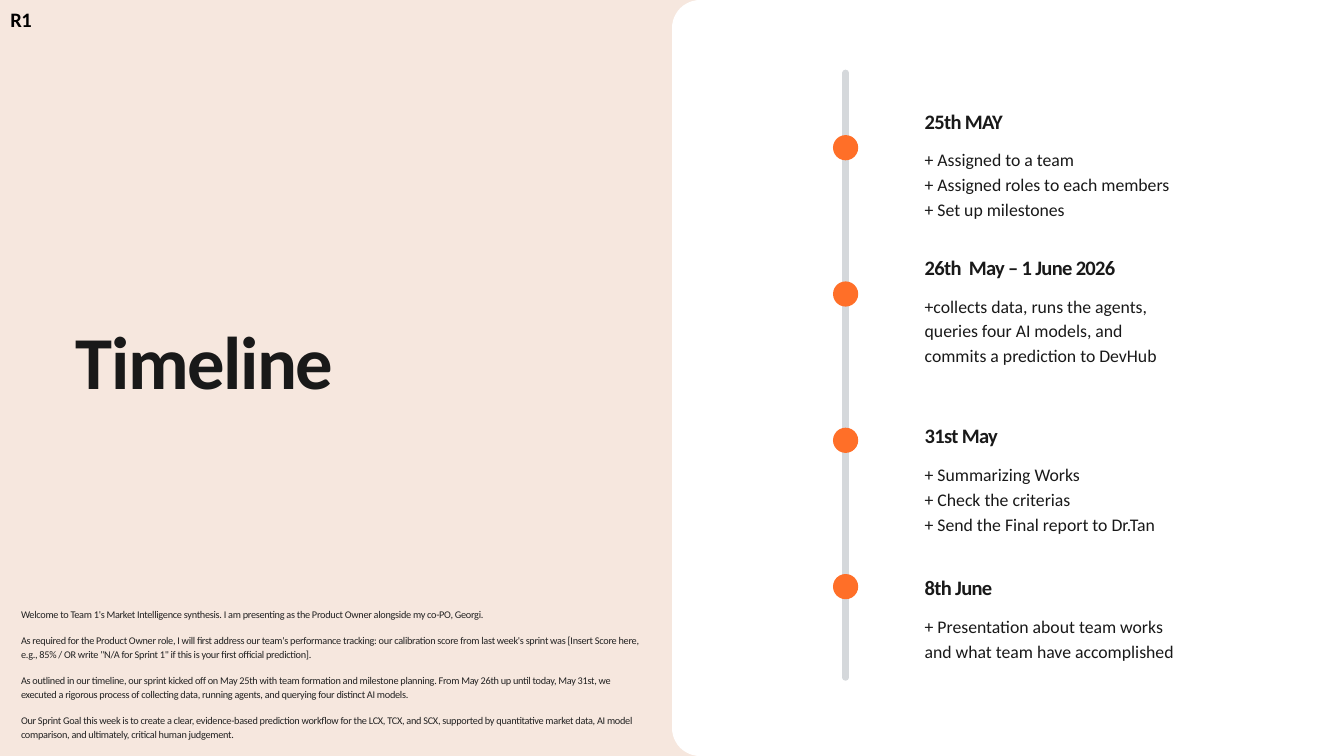
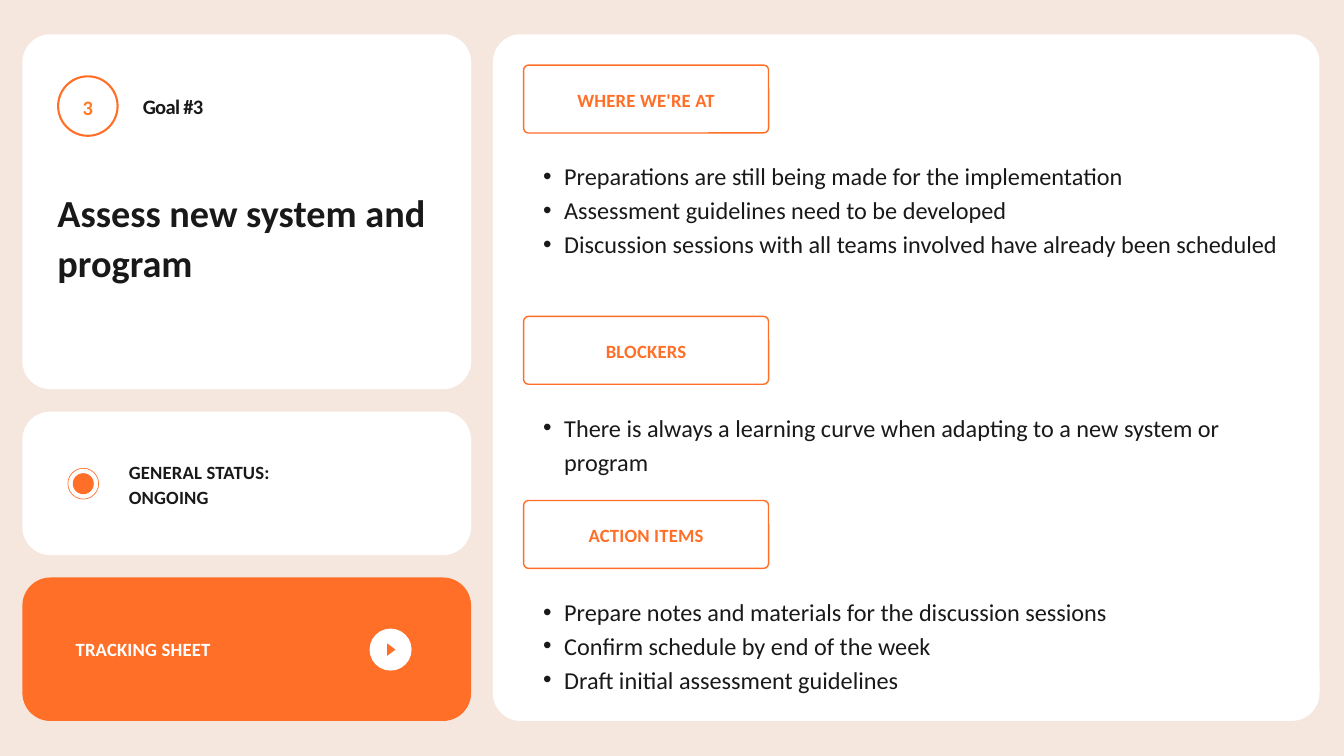
from dataclasses import dataclass, replace
from typing import NamedTuple, Optional, Sequence

import lxml.etree
import pptx
import pptx.dml.color
import pptx.enum.shapes
import pptx.enum.text
import pptx.oxml.ns
import pptx.presentation
import pptx.shapes.autoshape
import pptx.slide
import pptx.text.text
import pptx.util

EMU_PER_PX = 9525
FONT = "Calibri"
CREAM, WHITE, ORANGE = "F6E7DE", "FFFFFF", "FF6F28"
INK, BLACK, GREY = "191919", "000000", "D5D8DB"
LEFT = pptx.enum.text.PP_ALIGN.LEFT
CENTER = pptx.enum.text.PP_ALIGN.CENTER
TOP = pptx.enum.text.MSO_ANCHOR.TOP
MIDDLE = pptx.enum.text.MSO_ANCHOR.MIDDLE
ROUNDED = pptx.enum.shapes.MSO_SHAPE.ROUNDED_RECTANGLE
OVAL = pptx.enum.shapes.MSO_SHAPE.OVAL
TRIANGLE = pptx.enum.shapes.MSO_SHAPE.ISOSCELES_TRIANGLE
COMPARISON_LAYOUT = 4


class Box(NamedTuple):
    left: int
    top: int
    width: int
    height: int


@dataclass(frozen=True)
class TextStyle:
    size: int
    leading: float
    color: str = INK
    bold: bool = False
    tracking: float = 0
    align: pptx.enum.text.PP_ALIGN = LEFT
    bulleted: bool = False
    gap: float = 0


@dataclass(frozen=True)
class Milestone:
    top: int
    date: str
    tasks: Sequence[str]
    height: int = 138


@dataclass(frozen=True)
class Section:
    top: int
    label: str
    points: Sequence[str]
    height: int


COVER_TITLE = TextStyle(80, 96, bold=True, tracking=-1.6)
GOAL_TITLE = TextStyle(41, 53.3, bold=True)
HEADING = TextStyle(22, 28.6, bold=True, tracking=-0.7)
TASK = TextStyle(19, 26.6)
SPEECH = TextStyle(11, 14.3, "222222", tracking=-0.3, gap=14.3)
CAPS = TextStyle(20, 26, bold=True, tracking=0.2)
TAG = replace(CAPS, color=ORANGE, align=CENTER)
POINT = TextStyle(26, 36.4, bulleted=True)

MILESTONES = [
    Milestone(152, "25th MAY", [
        "+ Assigned to a team",
        "+ Assigned roles to each members",
        "+ Set up milestones",
    ]),
    Milestone(361, "26th  May – 1 June 2026", [
        "+collects data, runs the agents, queries four AI models, "
        "and commits a prediction to DevHub",
    ]),
    Milestone(602, "31st May", [
        "+ Summarizing Works",
        "+ Check the criterias",
        "+ Send the Final report to Dr.Tan",
    ]),
    Milestone(819, "8th June", [
        "+ Presentation about team works and what team have accomplished",
    ], 103),
]

WELCOME = [
    "Welcome to Team 1's Market Intelligence synthesis. I am presenting as "
    "the Product Owner alongside my co-PO, Georgi.",
    "As required for the Product Owner role, I will first address our team's "
    "performance tracking: our calibration score from last week's sprint was "
    "[Insert Score here, e.g., 85% / OR write \"N/A for Sprint 1\" if this is "
    "your first official prediction].",
    "As outlined in our timeline, our sprint kicked off on May 25th with team "
    "formation and milestone planning. From May 26th up until today, May 31st, "
    "we executed a rigorous process of collecting data, running agents, and "
    "querying four distinct AI models.",
    "Our Sprint Goal this week is to create a clear, evidence-based prediction "
    "workflow for the LCX, TCX, and SCX, supported by quantitative market data, "
    "AI model comparison, and ultimately, critical human judgement.",
]

SECTIONS = [
    Section(92, "WHERE WE'RE AT", [
        "Preparations are still being made for the implementation",
        "Assessment guidelines need to be developed",
        "Discussion sessions with all teams involved have already been scheduled",
    ], 190),
    Section(451, "BLOCKERS", [
        "There is always a learning curve when adapting to a new system or program",
    ], 94),
    Section(714, "ACTION ITEMS", [
        "Prepare notes and materials for the discussion sessions",
        "Confirm schedule by end of the week",
        "Draft initial assessment guidelines",
    ], 142),
]


def px(length: int) -> pptx.util.Emu:
    return pptx.util.Emu(length * EMU_PER_PX)


def rgb(color: str) -> pptx.dml.color.RGBColor:
    return pptx.dml.color.RGBColor.from_string(color)


def emu(box: Box) -> list[pptx.util.Emu]:
    return [px(length) for length in box]


def set_bullet(paragraph: pptx.text.text._Paragraph, bulleted: bool) -> None:
    properties = paragraph._p.get_or_add_pPr()
    properties.set("marL", str(px(59 if bulleted else 0)))
    properties.set("indent", str(px(-30 if bulleted else 0)))
    qn = pptx.oxml.ns.qn
    if bulleted:
        lxml.etree.SubElement(properties, qn("a:buFont")).set("typeface", "Arial")
        lxml.etree.SubElement(properties, qn("a:buChar")).set("char", "•")
    else:
        lxml.etree.SubElement(properties, qn("a:buNone"))


def write(frame: pptx.text.text.TextFrame, lines: Sequence[str], style: TextStyle,
          anchor: pptx.enum.text.MSO_ANCHOR = TOP) -> None:
    frame.word_wrap = True
    frame.auto_size = pptx.enum.text.MSO_AUTO_SIZE.NONE
    frame.vertical_anchor = anchor
    frame.margin_left = frame.margin_top = frame.margin_right = frame.margin_bottom = 0
    for number, line in enumerate(lines):
        paragraph = frame.add_paragraph() if number else frame.paragraphs[0]
        set_bullet(paragraph, style.bulleted)
        paragraph.alignment = style.align
        paragraph.line_spacing = pptx.util.Pt(style.leading)
        paragraph.space_before = pptx.util.Pt(style.gap if number else 0)
        run = paragraph.add_run()
        run.text = line
        run.font.name = FONT
        run.font.size = pptx.util.Pt(style.size)
        run.font.bold = style.bold
        run.font.color.rgb = rgb(style.color)
        run._r.get_or_add_rPr().set("spc", str(round(style.tracking * 100)))


def add_text(slide: pptx.slide.Slide, box: Box, lines: Sequence[str],
             style: TextStyle) -> None:
    write(slide.shapes.add_textbox(*emu(box)).text_frame, lines, style)


def fill_placeholder(slide: pptx.slide.Slide, index: int, box: Box,
                     lines: Sequence[str], style: TextStyle) -> None:
    holder = slide.placeholders[index]
    holder.left, holder.top, holder.width, holder.height = emu(box)
    slide.shapes.element.append(holder.element)
    write(holder.text_frame, lines, style)


def add_figure(slide: pptx.slide.Slide, kind: pptx.enum.shapes.MSO_SHAPE, box: Box,
               fill: Optional[str] = None, outline: int = 0,
               radius: int = 0) -> pptx.shapes.autoshape.Shape:
    figure = slide.shapes.add_shape(kind, *emu(box))
    figure.shadow.inherit = False
    if fill:
        figure.fill.solid()
        figure.fill.fore_color.rgb = rgb(fill)
    else:
        figure.fill.background()
    if outline:
        figure.line.color.rgb = rgb(ORANGE)
        figure.line.width = px(outline)
    else:
        figure.line.fill.background()
    if radius:
        figure.adjustments[0] = radius / min(box.width, box.height)
    return figure


def add_card(slide: pptx.slide.Slide, box: Box, fill: str = WHITE) -> None:
    add_figure(slide, ROUNDED, box, fill, radius=40)


def add_axis(slide: pptx.slide.Slide, x: int, top: int, bottom: int) -> None:
    axis = slide.shapes.add_connector(
        pptx.enum.shapes.MSO_CONNECTOR.STRAIGHT, px(x), px(bottom), px(x), px(top))
    axis.line.color.rgb = rgb(GREY)
    axis.line.width = px(9)
    properties = axis.element.spPr
    properties.find(pptx.oxml.ns.qn("a:ln")).set("cap", "rnd")
    lxml.etree.SubElement(properties, pptx.oxml.ns.qn("a:effectLst"))


def build_timeline(deck: pptx.presentation.Presentation) -> None:
    slide = deck.slides.add_slide(deck.slide_layouts[COMPARISON_LAYOUT])
    axis_x, dot_size, first_dot, dot_pitch = 1208, 36, 193, 209
    text_left, text_width = 1321, 358
    add_card(slide, Box(960, 0, 1019, 1080))
    add_axis(slide, axis_x, 104, 968)
    for number, milestone in enumerate(MILESTONES):
        dot = Box(axis_x - dot_size // 2, first_dot + number * dot_pitch,
                  dot_size, dot_size)
        add_figure(slide, OVAL, dot, ORANGE)
        add_text(slide, Box(text_left, milestone.top, text_width, 36),
                 [milestone.date], HEADING)
        fill_placeholder(
            slide, number + 1,
            Box(text_left, milestone.top + 56, text_width, milestone.height),
            milestone.tasks, TASK)
    fill_placeholder(slide, 0, Box(108, 450, 596, 129), ["Timeline"], COVER_TITLE)
    add_text(slide, Box(12, 7, 36, 37), ["R1"],
             replace(HEADING, color=BLACK, align=CENTER))
    add_text(slide, Box(30, 867, 883, 208), WELCOME, SPEECH)


def build_goal(deck: pptx.presentation.Presentation) -> None:
    slide = deck.slides.add_slide(deck.slide_layouts[COMPARISON_LAYOUT])
    gap, card_top, column_width = 32, 49, 641
    top = card_top
    for height, fill in [(507, WHITE), (205, WHITE), (205, ORANGE)]:
        add_card(slide, Box(gap, top, column_width, height), fill)
        top += height + gap
    add_card(slide, Box(704, card_top, 1181, top - gap - card_top))

    goal_number = add_figure(slide, OVAL, Box(83, 109, 85, 85), outline=3)
    write(goal_number.text_frame, ["3"],
          replace(HEADING, color="FF7B26", align=CENTER), MIDDLE)
    add_text(slide, Box(204, 131, 298, 37), ["Goal #3"], HEADING)
    fill_placeholder(slide, 0, Box(82, 265, 541, 140),
                     ["Assess new system and program"], GOAL_TITLE)

    add_figure(slide, OVAL, Box(97, 669, 44, 44), outline=1)
    add_figure(slide, OVAL, Box(104, 676, 30, 30), ORANGE)
    add_text(slide, Box(184, 656, 295, 68), ["GENERAL STATUS: ONGOING"], CAPS)

    add_text(slide, Box(108, 909, 318, 35), ["TRACKING SHEET"],
             replace(CAPS, color=WHITE))
    add_figure(slide, OVAL, Box(528, 898, 60, 60), WHITE)
    add_figure(slide, TRIANGLE, Box(550, 922, 18, 12), ORANGE).rotation = 90

    for index, section in enumerate(SECTIONS, start=1):
        tag = add_figure(slide, ROUNDED, Box(748, section.top + 1, 350, 97),
                         outline=2, radius=7)
        write(tag.text_frame, [section.label], TAG, MIDDLE)
        fill_placeholder(slide, index, Box(747, section.top + 132, 1094, section.height),
                         section.points, POINT)
    spare = slide.placeholders[len(SECTIONS) + 1]
    slide.shapes.element.remove(spare.element)


def main() -> None:
    deck = pptx.Presentation()
    deck.slide_width, deck.slide_height = px(1920), px(1080)
    backdrop = deck.slide_master.background.fill
    backdrop.solid()
    backdrop.fore_color.rgb = rgb(CREAM)
    build_timeline(deck)
    build_goal(deck)
    deck.save("out.pptx")


if __name__ == "__main__":
    main()
